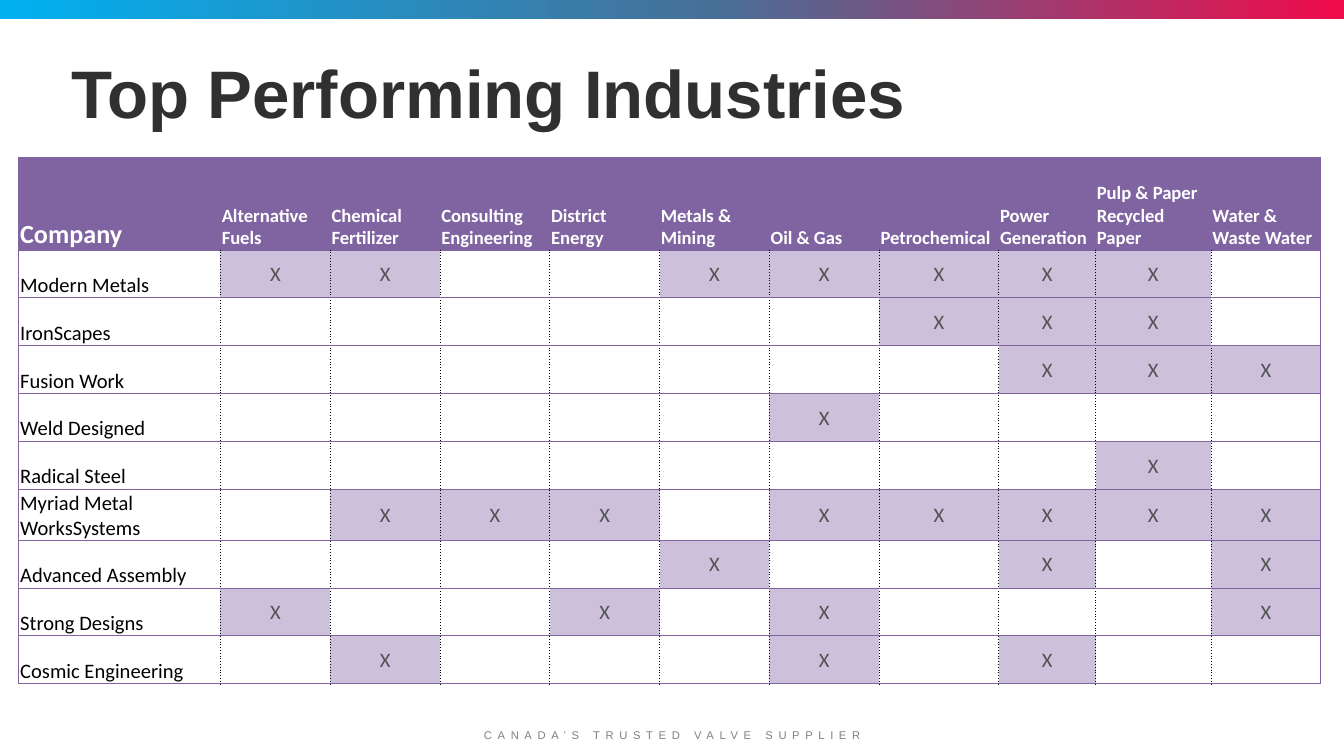
import copy

import lxml.etree
import pptx
import pptx.dml.color
import pptx.enum.shapes
import pptx.enum.text
import pptx.oxml.ns
import pptx.util

Inches, Pt = pptx.util.Inches, pptx.util.Pt
ANCHOR, ALIGN = pptx.enum.text.MSO_ANCHOR, pptx.enum.text.PP_ALIGN
qn = pptx.oxml.ns.qn
PURPLE, LILAC, BLACK = "8064A2", "CCC0DA", "000000"


def color(value):
    return pptx.dml.color.RGBColor.from_string(value)


def add_text(paragraph, words, size, font, ink, bold=False):
    run = paragraph.add_run()
    run.text = words
    run.font.size = Pt(size)
    run.font.name = font
    run.font.bold = bold
    run.font.color.rgb = color(ink)
    return run


# Widescreen 16:9 slide
deck = pptx.Presentation()
deck.slide_width, deck.slide_height = Inches(10), Inches(10 * 9 / 16)
slide = deck.slides.add_slide(deck.slide_layouts[6])

# Gradient band along the top
band = slide.shapes.add_shape(
    pptx.enum.shapes.MSO_SHAPE.RECTANGLE, 0, 0, Inches(10), Inches(0.14))
band.shadow.inherit = False
band.line.fill.background()
band.fill.gradient()
band.fill.gradient_angle = 0
first_stop = band.fill.gradient_stops[0]._gs
first_stop.addnext(copy.deepcopy(first_stop))
stops = [(0, "01B0F0"), (0.53, "477098"), (1, "F00B4A")]
for stop, (position, tint) in zip(band.fill.gradient_stops, stops):
    stop.position = position
    stop.color.rgb = color(tint)

# Title
title = slide.shapes.add_textbox(Inches(0.43), Inches(0.3), Inches(9.05), Inches(0.74)).text_frame
title.word_wrap = True
title.vertical_anchor = ANCHOR.BOTTOM
title.paragraphs[0].line_spacing = 0.9
add_text(title.paragraphs[0], "Top Performing Industries", 36, "Arial", "303030", True)

# Footer line
footer = slide.shapes.add_textbox(0, Inches(5.37), Inches(10), Inches(0.23)).text_frame
footer.word_wrap = True
footer.vertical_anchor = ANCHOR.BOTTOM
footer.margin_bottom = Inches(0.08)
footer.paragraphs[0].alignment = ALIGN.CENTER
tagline = add_text(footer.paragraphs[0], "CANADA’S TRUSTED VALVE SUPPLIER", 6, "Arial", "808080")
tagline.font._element.set("spc", "300")

# Industry matrix: x marks an industry the company performs in
headings = ["Company", "Alternative Fuels", "Chemical Fertilizer", "Consulting Engineering",
            "District Energy", "Metals & Mining", "Oil & Gas", "Petrochemical",
            "Power Generation", "Pulp & Paper Recycled Paper", "Water & Waste Water"]
companies = [
    ("Modern Metals", "xx..xxxxx."),
    ("IronScapes", "......xxx."),
    ("Fusion Work", ".......xxx"),
    ("Weld Designed", ".....x...."),
    ("Radical Steel", "........x."),
    ("Myriad Metal WorksSystems", ".xxx.xxxxx"),
    ("Advanced Assembly", "....x..x.x"),
    ("Strong Designs", "x..x.x...x"),
    ("Cosmic Engineering", ".x...x.x.."),
]
table_width, table_height, header_height = 9.69, 3.9, 0.69
special_widths = {0: 1.5, 7: 0.89, 8: 0.72, 9: 0.86}
even_width = (table_width - sum(special_widths.values())) / (len(headings) - len(special_widths))
last = len(headings) - 1

matrix = slide.shapes.add_table(
    len(companies) + 1, len(headings), Inches(0.14), Inches(1.17),
    Inches(table_width), Inches(table_height)).table
matrix.horz_banding = False
matrix.first_row = False
for c, column in enumerate(matrix.columns):
    column.width = Inches(special_widths.get(c, even_width))
for row in matrix.rows:
    row.height = Inches((table_height - header_height) / len(companies))
matrix.rows[0].height = Inches(header_height)

grid = [headings] + [[name, *marks] for name, marks in companies]
for r, line in enumerate(grid):
    for c, entry in enumerate(line):
        cell = matrix.cell(r, c)
        cell.margin_left = cell.margin_right = cell.margin_top = Inches(0.01)
        cell.margin_bottom = 0
        cell.vertical_anchor = ANCHOR.BOTTOM
        paragraph = cell.text_frame.paragraphs[0]
        fill = None
        if r == 0:
            fill = PURPLE
            add_text(paragraph, entry, 10 if c else 14, "Calibri", "FFFFFF", True)
        elif c == 0:
            add_text(paragraph, entry, 11, "Calibri", BLACK)
        elif entry == "x":
            fill = LILAC
            cell.vertical_anchor = ANCHOR.MIDDLE
            paragraph.alignment = ALIGN.CENTER
            add_text(paragraph, "X", 11, "Calibri", "525252")
        else:
            paragraph.font.size = Pt(11)

        # Solid frame and row rules, dotted column rules below the header
        inner = None if r == 0 else (BLACK, "sysDot")
        solid = (PURPLE, "solid")
        borders = {"a:lnL": solid if c == 0 else inner,
                   "a:lnR": solid if c == last else inner,
                   "a:lnT": solid, "a:lnB": solid}
        properties = cell._tc.get_or_add_tcPr()
        for side, style in borders.items():
            edge = lxml.etree.SubElement(properties, qn(side), w=str(Pt(0.5)))
            if style is None:
                lxml.etree.SubElement(edge, qn("a:noFill"))
                continue
            paint = lxml.etree.SubElement(edge, qn("a:solidFill"))
            lxml.etree.SubElement(paint, qn("a:srgbClr"), val=style[0])
            lxml.etree.SubElement(edge, qn("a:prstDash"), val=style[1])

        if fill:
            cell.fill.solid()
            cell.fill.fore_color.rgb = color(fill)
        else:
            cell.fill.background()

deck.save("out.pptx")
